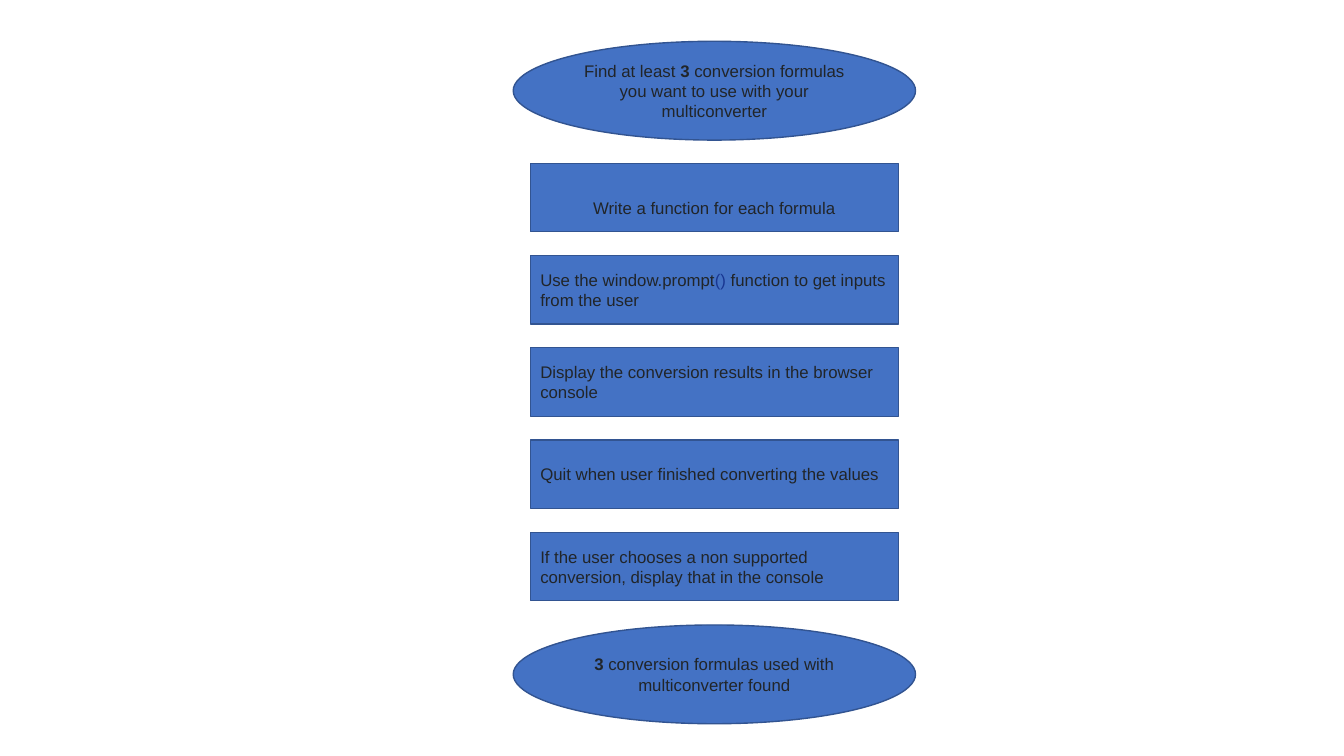
from dataclasses import dataclass

from pptx import Presentation
from pptx.dml.color import RGBColor
from pptx.enum.shapes import MSO_SHAPE
from pptx.enum.text import MSO_ANCHOR, PP_ALIGN
from pptx.util import Inches, Pt

ELLIPSE, RECTANGLE = MSO_SHAPE.OVAL, MSO_SHAPE.RECTANGLE
CENTER, LEFT = PP_ALIGN.CENTER, PP_ALIGN.LEFT
MIDDLE = MSO_ANCHOR.MIDDLE

SLIDE_WIDTH, SLIDE_HEIGHT = 13.33, 7.5
FLOW_CENTER = 7.085
TERMINAL_SIZE = (3.99, 0.98)
STEP_SIZE = (3.65, 0.68)
START_TOP, END_TOP = 0.41, 6.2
FIRST_STEP_TOP, LAST_STEP_TOP = 1.62, 5.28

START = [
    ("Find at least ", {}),
    ("3", {"bold": True}),
    (" conversion formulas you want to use with your multiconverter", {}),
]
END = [
    ("3", {"bold": True}),
    (" conversion formulas used with multiconverter found", {}),
]


@dataclass(frozen=True)
class Theme:
    fill: RGBColor = RGBColor(0x44, 0x72, 0xC4)
    outline: RGBColor = RGBColor(0x32, 0x54, 0x91)
    text: RGBColor = RGBColor(0x21, 0x25, 0x29)
    code: RGBColor = RGBColor(0x18, 0x36, 0x91)
    font: str = "Arial"
    text_size: int = 12
    line_width: int = 1


class Flowchart:
    def __init__(self, slide, theme):
        self.slide = slide
        self.theme = theme

    def box(self, kind, top, size, wording, align, top_inset=0.05):
        width, height = size
        box = self.slide.shapes.add_shape(
            kind, Inches(FLOW_CENTER - width / 2), Inches(top), Inches(width), Inches(height)
        )
        box.shadow.inherit = False
        box.fill.solid()
        box.fill.fore_color.rgb = self.theme.fill
        box.line.color.rgb = self.theme.outline
        box.line.width = Pt(self.theme.line_width)
        frame = box.text_frame
        frame_format = {
            "word_wrap": True,
            "vertical_anchor": MIDDLE,
            "margin_top": Inches(top_inset),
        }
        for attribute, value in frame_format.items():
            setattr(frame, attribute, value)
        paragraph = frame.paragraphs[0]
        paragraph.alignment = align
        for words, changes in wording:
            self.run(paragraph, words, **changes)

    def run(self, paragraph, words, color=None, bold=False):
        run = paragraph.add_run()
        run.text = words
        font_format = {"name": self.theme.font, "size": Pt(self.theme.text_size), "bold": bold}
        for attribute, value in font_format.items():
            setattr(run.font, attribute, value)
        run.font.color.rgb = color or self.theme.text

    def terminal(self, top, wording):
        self.box(ELLIPSE, top, TERMINAL_SIZE, wording, CENTER)

    def step(self, top, wording, align=LEFT, top_inset=0.05):
        self.box(RECTANGLE, top, STEP_SIZE, wording, align, top_inset)


def main():
    presentation = Presentation()
    presentation.slide_width = Inches(SLIDE_WIDTH)
    presentation.slide_height = Inches(SLIDE_HEIGHT)
    theme = Theme()
    slide = presentation.slides.add_slide(presentation.slide_layouts[6])
    flowchart = Flowchart(slide, theme)

    steps = [
        ([("Write a function for each formula", {})], {"align": CENTER, "top_inset": 0.25}),
        ([
            ("Use the window.prompt", {}),
            ("()", {"color": theme.code}),
            (" function to get inputs from the user", {}),
        ], {}),
        ([("Display the conversion results in the browser console", {})], {}),
        ([("Quit when user finished converting the values", {})], {}),
        ([("If the user chooses a non supported conversion, display that in the console", {})], {}),
    ]
    pitch = (LAST_STEP_TOP - FIRST_STEP_TOP) / (len(steps) - 1)

    flowchart.terminal(START_TOP, START)
    for index, (wording, layout) in enumerate(steps):
        flowchart.step(FIRST_STEP_TOP + index * pitch, wording, **layout)
    flowchart.terminal(END_TOP, END)

    presentation.save("out.pptx")


if __name__ == "__main__":
    main()
